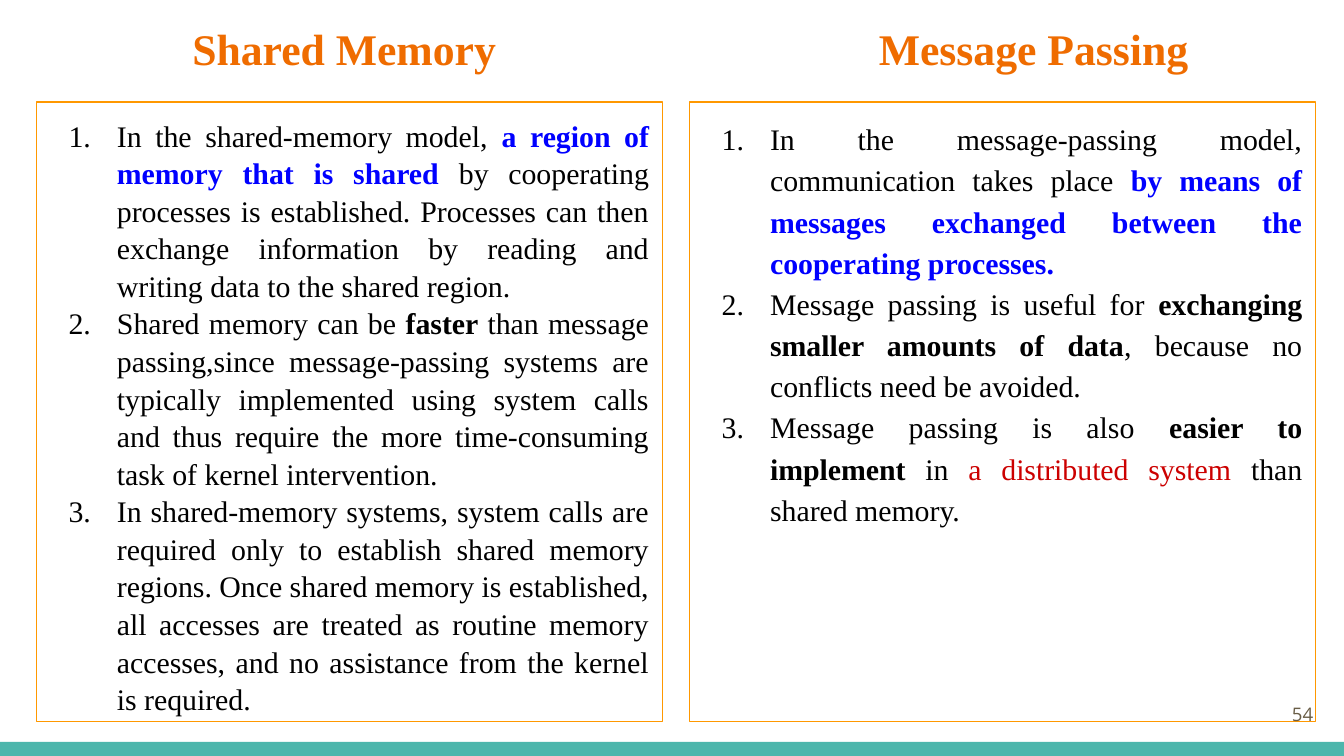
from dataclasses import dataclass
from lxml import etree
from pptx import Presentation
from pptx.dml.color import RGBColor as Rgb
from pptx.enum import shapes, text
from pptx.oxml import ns
from pptx.util import Inches, Pt


@dataclass(frozen=True)
class Theme:
    serif: str = "Times New Roman"
    sans: str = "Open Sans"
    head: str = "EF6C00"
    edge: str = "FF9800"
    bar: str = "4DB6AC"
    ink: str = "000000"
    blue: str = "0000FF"
    red: str = "CC0000"
    gray: str = "695D46"
    big: float = 23.4
    mid: float = 16
    small: float = 10


LOOK = Theme()


@dataclass(frozen=True)
class Span:
    words: str
    color: str = LOOK.ink
    bold: bool = False


@dataclass(frozen=True)
class Panel:
    left: float
    pitch: float
    items: list[list[Span]]


SHARED = Panel(0.27, 1.05, [
    [Span("In the shared-memory model, "),
     Span("a region of memory that is shared", LOOK.blue, True),
     Span(" by cooperating processes is established. Processes can then exchange "
          "information by reading and writing data to the shared region. ")],
    [Span("Shared memory can be "),
     Span("faster", bold=True),
     Span(" than message passing,since message-passing systems are typically "
          "implemented using system calls and thus require the more "
          "time-consuming task of kernel intervention.")],
    [Span("In shared-memory systems, system calls are required only to establish "
          "shared memory regions. Once shared memory is established, all accesses "
          "are treated as routine memory accesses, and no assistance from the "
          "kernel is required.")],
])
PASSING = Panel(5.13, 1.15, [
    [Span("In the message-passing model, communication takes place "),
     Span("by means of messages exchanged between the cooperating processes.",
          LOOK.blue, True)],
    [Span("Message passing is useful for "),
     Span("exchanging smaller amounts of data", bold=True),
     Span(", because no conflicts need be avoided. ")],
    [Span("Message passing is also "),
     Span("easier to implement", bold=True),
     Span(" in "),
     Span("a distributed system ", LOOK.red),
     Span("than shared memory.")],
])


def place(shape, left: float, top: float, width: float, height: float) -> None:
    shape.left, shape.top = Inches(left), Inches(top)
    shape.width, shape.height = Inches(width), Inches(height)


def frame(shape, anchor):
    box = shape.text_frame
    box.word_wrap = True
    box.auto_size = text.MSO_AUTO_SIZE.NONE
    box.vertical_anchor = anchor
    box.margin_left = box.margin_right = Inches(0.1)
    box.margin_top = box.margin_bottom = Inches(0.1)
    return box


def style(font, name: str, size: float, color: str | None = None) -> None:
    font.name, font.size = name, Pt(size)
    if color:
        font.color.rgb = Rgb.from_string(color)


def node(base, tag: str, **attrs: str):
    return etree.SubElement(base, ns.qn(tag), attrs)


def add_title(shape, heads: list[str], stops: list[float]) -> None:
    place(shape, 0.47, 0.06, 9.32, 0.63)
    para = frame(shape, text.MSO_ANCHOR.TOP).paragraphs[0]
    para.alignment = text.PP_ALIGN.LEFT
    tabs = node(para._p.get_or_add_pPr(), "a:tabLst")
    for stop in stops:
        node(tabs, "a:tab", pos=str(Inches(stop)), algn="ctr")
    para.add_run().text = "".join("\t" + head for head in heads)
    style(para.font, LOOK.serif, LOOK.big, LOOK.head)
    para.font.bold = True


def add_panel(shape, panel: Panel) -> None:
    place(shape, panel.left, 0.76, 4.66, 4.61)
    shape.line.color.rgb = Rgb.from_string(LOOK.edge)
    shape.line.width = Pt(0.75)
    box = frame(shape, text.MSO_ANCHOR.TOP)
    for rank, item in enumerate(panel.items):
        para = box.add_paragraph() if rank else box.paragraphs[0]
        props = para._p.get_or_add_pPr()
        props.set("marL", str(Inches(0.5)))
        props.set("indent", str(Inches(-0.36)))
        node(node(props, "a:buClr"), "a:srgbClr", val=LOOK.ink)
        node(props, "a:buFont", typeface=LOOK.serif)
        node(props, "a:buAutoNum", type="arabicPeriod")
        para.alignment = text.PP_ALIGN.JUSTIFY
        para.line_spacing = panel.pitch
        para.space_before = para.space_after = Pt(0)
        style(para.font, LOOK.serif, LOOK.mid)
        for span in item:
            run = para.add_run()
            run.text = span.words
            run.font.bold = span.bold
            run.font.color.rgb = Rgb.from_string(span.color)


def add_bar(slide) -> None:
    bar = slide.shapes.add_shape(
        shapes.MSO_SHAPE.RECTANGLE, 0, Inches(5.52), Inches(10), Inches(0.11))
    bar.shadow.inherit = False
    bar.fill.solid()
    bar.fill.fore_color.rgb = Rgb.from_string(LOOK.bar)
    bar.line.fill.background()


def add_page(slide, label: str) -> None:
    shape = slide.shapes.add_textbox(0, 0, 0, 0)
    place(shape, 9.27, 5.1, 0.6, 0.43)
    para = frame(shape, text.MSO_ANCHOR.MIDDLE).paragraphs[0]
    para.alignment = text.PP_ALIGN.RIGHT
    para.add_run().text = label
    style(para.font, LOOK.sans, LOOK.small, LOOK.gray)


def main() -> None:
    deck = Presentation()
    deck.slide_width = Inches(10)
    deck.slide_height = deck.slide_width * 9 // 16
    slide = deck.slides.add_slide(deck.slide_layouts[3])
    title, *bodies = slide.placeholders
    add_bar(slide)
    add_title(title, ["Shared Memory", "Message Passing"], [1.99, 7.12])
    for body, panel in zip(bodies, [SHARED, PASSING]):
        add_panel(body, panel)
    add_page(slide, "54")
    deck.save("out.pptx")


if __name__ == "__main__":
    main()
